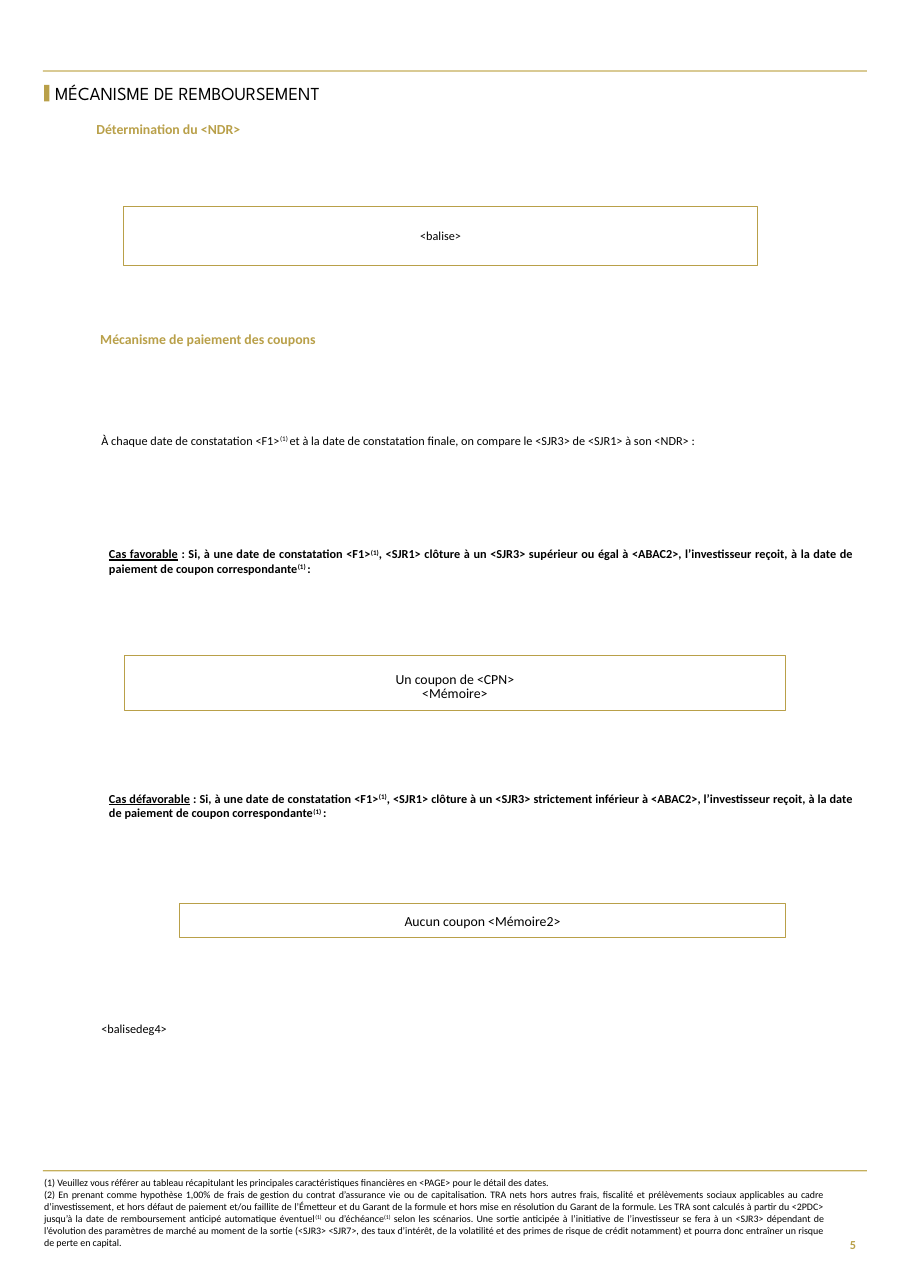
import pptx
import pptx.util
import pptx.dml.color
import pptx.enum.shapes
import pptx.enum.text
from dataclasses import dataclass

ALIGN = pptx.enum.text.PP_ALIGN
ANCHOR = pptx.enum.text.MSO_ANCHOR


@dataclass(frozen=True)
class Theme:
    gold: str = "B9A049"
    rule: str = "C5AF5C"
    ink: str = "000000"
    paper: str = "FFFFFF"
    body_font: str = "Calibri"
    title_font: str = "League Spartan"
    title: float = 12
    heading: float = 9
    body: float = 8
    note: float = 6.5


THEME = Theme()
WIDTH = pptx.util.Inches(8.27)
HEIGHT = pptx.util.Inches(11.69)

MARGIN = 4.72
FULL = 90.45
TEXT_X = 11.12
CASE_X = 11.97
CASE_W = 81.74

NOTES = [
    "(1) Veuillez vous référer au tableau récapitulant les principales caractéristiques "
    "financières en <PAGE> pour le détail des dates.",
    "(2) En prenant comme hypothèse 1,00% de frais de\u00a0gestion du contrat d’assurance vie ou de "
    "capitalisation. TRA nets hors autres frais, fiscalité et prélèvements sociaux applicables au "
    "cadre d’investissement, et hors défaut de paiement et/ou faillite de l’Émetteur et du Garant "
    "de la formule et hors mise en résolution du Garant de la formule. Les TRA sont calculés à "
    "partir du <2PDC> jusqu’à la date de remboursement anticipé automatique éventuel^(1)^ ou "
    "d’échéance^(1)^ selon les scénarios. Une sortie anticipée à l’initiative de l’investisseur se "
    "fera à un <SJR3> dépendant de l’évolution des paramètres de marché au moment de la sortie "
    "(<SJR3> <SJR7>, des taux d’intérêt, de la volatilité et des primes de\u00a0risque de crédit "
    "notamment) et pourra donc entraîner un risque de perte en capital.",
]
CASES = [
    (42.43, "Cas favorable", "supérieur ou égal"),
    (61.42, "Cas défavorable", "strictement inférieur"),
]


def rgb(code):
    return pptx.dml.color.RGBColor.from_string(code)


def area(x, y, w, h):
    return [int(total * share / 100)
            for total, share in zip((WIDTH, HEIGHT, WIDTH, HEIGHT), (x, y, w, h))]


def set_all(obj, values):
    for name, value in values.items():
        setattr(obj, name, value)


def add_run(p, text, size, color, font=THEME.body_font, **extra):
    r = p.add_run()
    r.text = text
    set_all(r.font, {"name": font, "size": pptx.util.Pt(size), **extra})
    r.font.color.rgb = rgb(color)
    return r


def write(tf, lines, size, color=THEME.ink, align=ALIGN.JUSTIFY, anchor=ANCHOR.TOP,
          inset=(0, 0, 0, 0), spacing=None, lead=None, **extra):
    left, top, right, bottom = map(pptx.util.Inches, inset)
    set_all(tf, {"word_wrap": True, "auto_size": pptx.enum.text.MSO_AUTO_SIZE.NONE,
                 "vertical_anchor": anchor, "margin_left": left, "margin_top": top,
                 "margin_right": right, "margin_bottom": bottom})
    for i, line in enumerate(lines):
        p = tf.add_paragraph() if i else tf.paragraphs[0]
        set_all(p, {"alignment": align, "line_spacing": spacing})
        if lead:
            add_run(p, lead, size, color, underline=True, **extra)
        for j, part in enumerate(line.split("^")):
            r = add_run(p, part, size, color, **extra)
            if j % 2:
                r._r.get_or_add_rPr().set("baseline", "30000")


def add_text(s, box, lines, size=THEME.body, **style):
    sp = s.shapes.add_textbox(*area(*box))
    write(sp.text_frame, lines, size, **style)


def add_heading(s, box, text):
    add_text(s, box, [text], THEME.heading, color=THEME.gold, align=ALIGN.LEFT, bold=True)


def add_rect(s, box, fill, line=None):
    sp = s.shapes.add_shape(pptx.enum.shapes.MSO_SHAPE.RECTANGLE, *area(*box))
    sp.shadow.inherit = False
    sp.fill.solid()
    sp.fill.fore_color.rgb = rgb(fill)
    if line:
        sp.line.color.rgb = rgb(THEME.gold)
        sp.line.width = pptx.util.Pt(line)
    else:
        sp.line.fill.background()
    return sp


def add_outcome(s, box, lines, size=THEME.heading, line=0.75,
                inset=(0.12, 0.08, 0.12, 0.08), spacing=None):
    sp = add_rect(s, box, THEME.paper, line)
    write(sp.text_frame, lines, size, align=ALIGN.CENTER, anchor=ANCHOR.MIDDLE,
          inset=inset, spacing=spacing)


def add_title(s, box, text):
    sp = s.shapes.title
    names = ("left", "top", "width", "height")
    set_all(sp, dict(zip(names, area(*box))))
    write(sp.text_frame, [text], THEME.title, align=ALIGN.LEFT, anchor=ANCHOR.MIDDLE,
          spacing=0.9, font=THEME.title_font)


def main():
    prs = pptx.Presentation()
    set_all(prs, {"slide_width": WIDTH, "slide_height": HEIGHT})
    s = prs.slides.add_slide(prs.slide_layouts[5])

    for y in (5.47, 90.85):
        add_rect(s, (MARGIN, y, FULL, 0.09), THEME.rule)
    add_rect(s, (4.84, 6.59, 0.6, 1.28), THEME.gold)
    add_title(s, (6.05, 6.24, 50.91, 2.14), "MÉCANISME DE REMBOURSEMENT")

    add_heading(s, (10.58, 9.41, 35.91, 1.54), "Détermination du <NDR>")
    add_outcome(s, (13.54, 16, 69.65, 4.62), ["<balise>"], THEME.body, 0.5)

    add_heading(s, (11, 25.66, 79.44, 1.45), "Mécanisme de paiement des coupons")
    add_text(s, (TEXT_X, 33.62, 79.44, 1.11),
             ["À chaque date de constatation <F1>^(1) ^et à la date de constatation finale, "
              "on compare le <SJR3> de <SJR1> à son <NDR> :"])
    for y, lead, test in CASES:
        add_text(s, (CASE_X, y, CASE_W, 2.31),
                 [f" : Si, à une date de constatation <F1>^(1)^, <SJR1> clôture à un <SJR3> {test} "
                  "à <ABAC2>, l’investisseur reçoit, à la date de paiement de coupon "
                  "correspondante^(1) ^:"], lead=lead, bold=True)
    add_outcome(s, (13.66, 50.9, 72.55, 4.28), ["Un coupon de <CPN>", "<Mémoire>"],
                inset=(0.12, 0.15, 0.12, 0.08), spacing=0.9)
    add_outcome(s, (19.71, 70.15, 66.5, 2.65), ["Aucun coupon <Mémoire2>"])
    add_text(s, (TEXT_X, 79.3, CASE_W, 1.11), ["<balisedeg4>"])

    add_text(s, (4.84, 91.36, 85.73, 5.65), NOTES, THEME.note)
    add_text(s, (90.45, 94.87, MARGIN, 3.59), ["5"], color=THEME.gold, align=ALIGN.RIGHT,
             anchor=ANCHOR.MIDDLE, inset=(0.1, 0.05, 0.1, 0.05), bold=True)
    prs.save("out.pptx")


if __name__ == "__main__":
    main()
